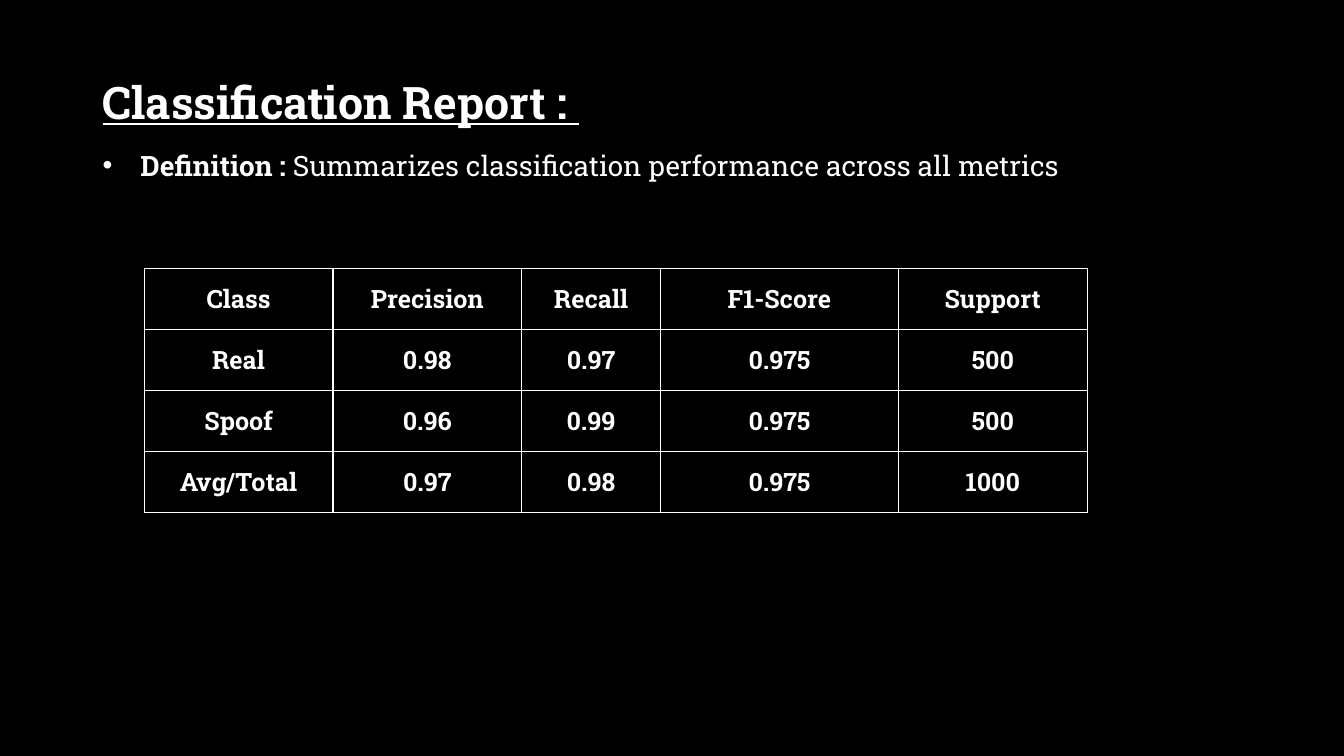
from lxml import etree
from pptx import Presentation
from pptx.dml.color import RGBColor
from pptx.enum.text import MSO_ANCHOR, PP_ALIGN
from pptx.oxml.ns import qn
from pptx.util import Pt

MIDDLE = MSO_ANCHOR.MIDDLE
CENTER = PP_ALIGN.CENTER

# Content
TITLE = "Classification Report : "
LEAD = "Definition : "
BODY = "Summarizes classification performance across all metrics"
REPORT = [
    ("Class", "Precision", "Recall", "F1-Score", "Support"),
    ("Real", "0.98", "0.97", "0.975", "500"),
    ("Spoof", "0.96", "0.99", "0.975", "500"),
    ("Avg/Total", "0.97", "0.98", "0.975", "1000"),
]

# Style and layout, in points
FONT = "Roboto Slab"
COLORS = {"back": "000000", "text": "FFFFFF", "rule": "FFFFFF"}
LEFT = 66.24
INDENT = 27
WIDTHS = [134.8, 134.8, 99.2, 170, 134.8]
ROW = 43.6


def style(font, size, bold=None):
    font.name, font.size, font.bold = FONT, Pt(size), bold
    font.color.rgb = RGBColor.from_string(COLORS["text"])


def add_text(top, width, height):
    box = slide.shapes.add_textbox(Pt(LEFT), Pt(top), Pt(width), Pt(height))
    box.text_frame.word_wrap = True
    return box.text_frame.paragraphs[0]


def add_rules(cell):
    props = cell._tc.get_or_add_tcPr()
    for side in ("lnL", "lnR", "lnT", "lnB"):
        line = etree.SubElement(props, qn("a:" + side), w=str(Pt(1)))
        fill = etree.SubElement(line, qn("a:solidFill"))
        etree.SubElement(fill, qn("a:srgbClr"), val=COLORS["rule"])


prs = Presentation()
prs.slide_width, prs.slide_height = Pt(960), Pt(540)
slide = prs.slides.add_slide(prs.slide_layouts[6])
back = slide.background.fill
back.solid()
back.fore_color.rgb = RGBColor.from_string(COLORS["back"])

# Title
title = add_text(49.7, 480, 46)
title.text = TITLE
style(title.font, 32, True)
title.font.underline = True

# Definition bullet
note = add_text(102.2, 807, 104.4)
style(note.font, 20)
note.space_after = Pt(12)
for text, bold in ((LEAD, True), (BODY, False)):
    run = note.add_run()
    run.text = text
    style(run.font, 20, bold)
props = note._p.get_or_add_pPr()
props.set("marL", str(Pt(INDENT)))
props.set("indent", str(-Pt(INDENT)))
bullet_font = etree.Element(qn("a:buFont"), typeface="Arial")
bullet = etree.Element(qn("a:buChar"), char="•")
spot = list(props).index(props.find(qn("a:spcAft"))) + 1
props.insert(spot, bullet_font)
props.insert(spot + 1, bullet)

# Metrics table
table = slide.shapes.add_table(
    len(REPORT), len(WIDTHS), Pt(103), Pt(191.5),
    Pt(sum(WIDTHS)), Pt(ROW * len(REPORT))).table
table.first_row = table.horz_banding = False
for col, width in zip(table.columns, WIDTHS):
    col.width = Pt(width)
for row, values in zip(table.rows, REPORT):
    row.height = Pt(ROW)
    for cell, value in zip(row.cells, values):
        cell.text = value
        cell.vertical_anchor = MIDDLE
        para = cell.text_frame.paragraphs[0]
        para.alignment = CENTER
        style(para.font, 18, True)
        add_rules(cell)
        cell.fill.background()

prs.save("out.pptx")
